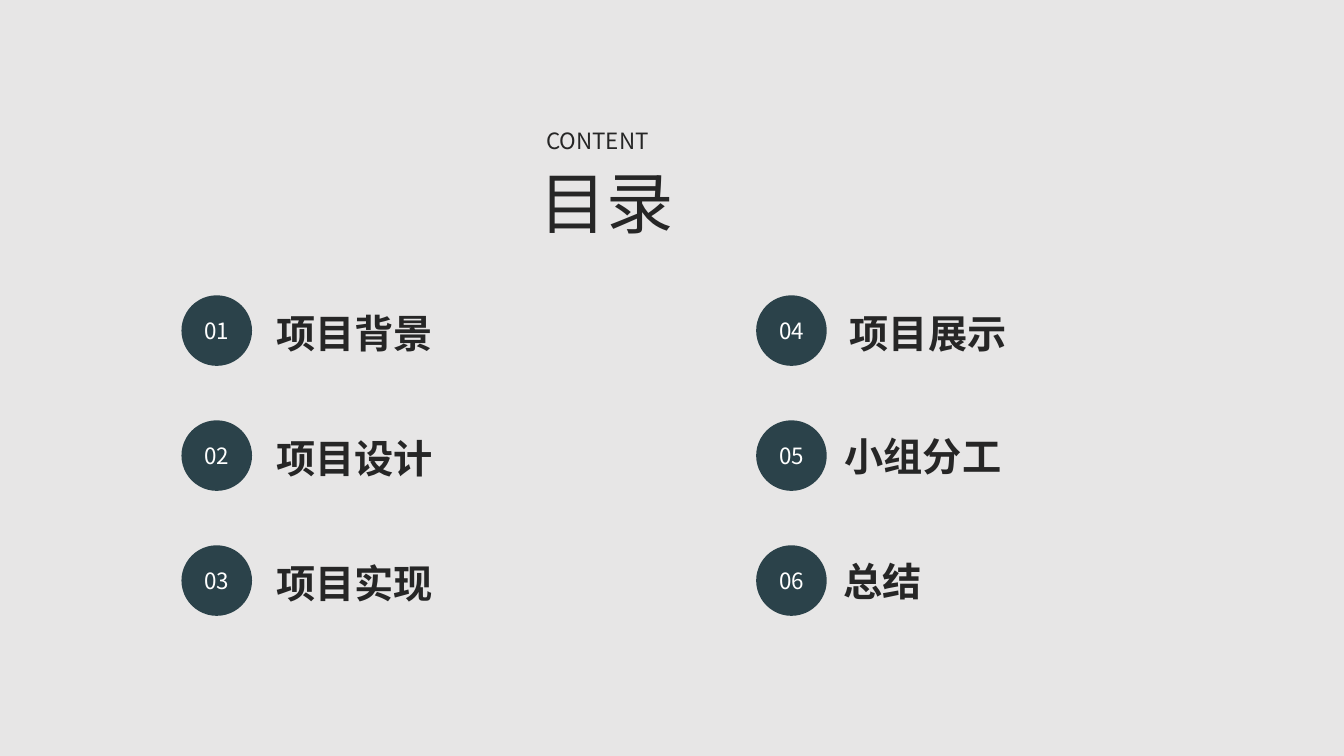
from pptx import Presentation, util as u
from pptx.dml.color import RGBColor
from pptx.enum import shapes, text
from pptx.oxml.ns import qn
from lxml import etree

PX = 9144
FONT = "Noto Sans CJK SC"
BACK = RGBColor(0xE7, 0xE6, 0xE6)
TEAL = RGBColor(0x2B, 0x42, 0x4A)
INK = RGBColor(0x26, 0x26, 0x26)
WHITE = RGBColor(0xFF, 0xFF, 0xFF)


def write(shape, words, size, color, align, bold=False):
    para = shape.text_frame.paragraphs[0]
    run = para.add_run()
    run.text = words
    para.alignment = align
    run.font.size = u.Pt(size)
    run.font.bold = bold
    run.font.color.rgb = color
    run.font.name = FONT
    east = etree.SubElement(run.font._element, qn("a:ea"))
    east.set("typeface", FONT)


def label(box, words, size, bold=False):
    shape = slide.shapes.add_textbox(*[n * PX for n in box])
    shape.text_frame.word_wrap = True
    shape.text_frame.auto_size = text.MSO_AUTO_SIZE.SHAPE_TO_FIT_TEXT
    write(shape, words, size, INK, text.PP_ALIGN.JUSTIFY, bold)


deck = Presentation()
deck.slide_width = u.Inches(13.33)
deck.slide_height = u.Inches(7.5)
slide = deck.slides.add_slide(deck.slide_layouts[6])
slide.background.fill.solid()
slide.background.fill.fore_color.rgb = BACK

label((532, 121, 268, 37), "CONTENT", 16)
label((525, 155, 283, 91), "目录", 48)

topics = [
    ("项目背景", 264, 302, 321),
    ("项目设计", 264, 426, 321),
    ("项目实现", 264, 550, 321),
    ("项目展示", 833, 302, 321),
    ("小组分工", 828, 424, 333),
    ("总结", 827, 548, 333),
]
for i, (name, left, top, width) in enumerate(topics):
    col, row = divmod(i, 3)
    spot = [n * PX for n in (180 + 570 * col, 293 + 124 * row, 70, 70)]
    dot = slide.shapes.add_shape(shapes.MSO_SHAPE.OVAL, *spot)
    dot.shadow.inherit = False
    dot.fill.solid()
    dot.fill.fore_color.rgb = TEAL
    dot.line.fill.background()
    dot.text_frame.vertical_anchor = text.MSO_ANCHOR.MIDDLE
    write(dot, f"{i + 1:02}", 16, WHITE, text.PP_ALIGN.CENTER)
    label((left, top, width, 57), name, 28, True)

deck.save("out.pptx")
